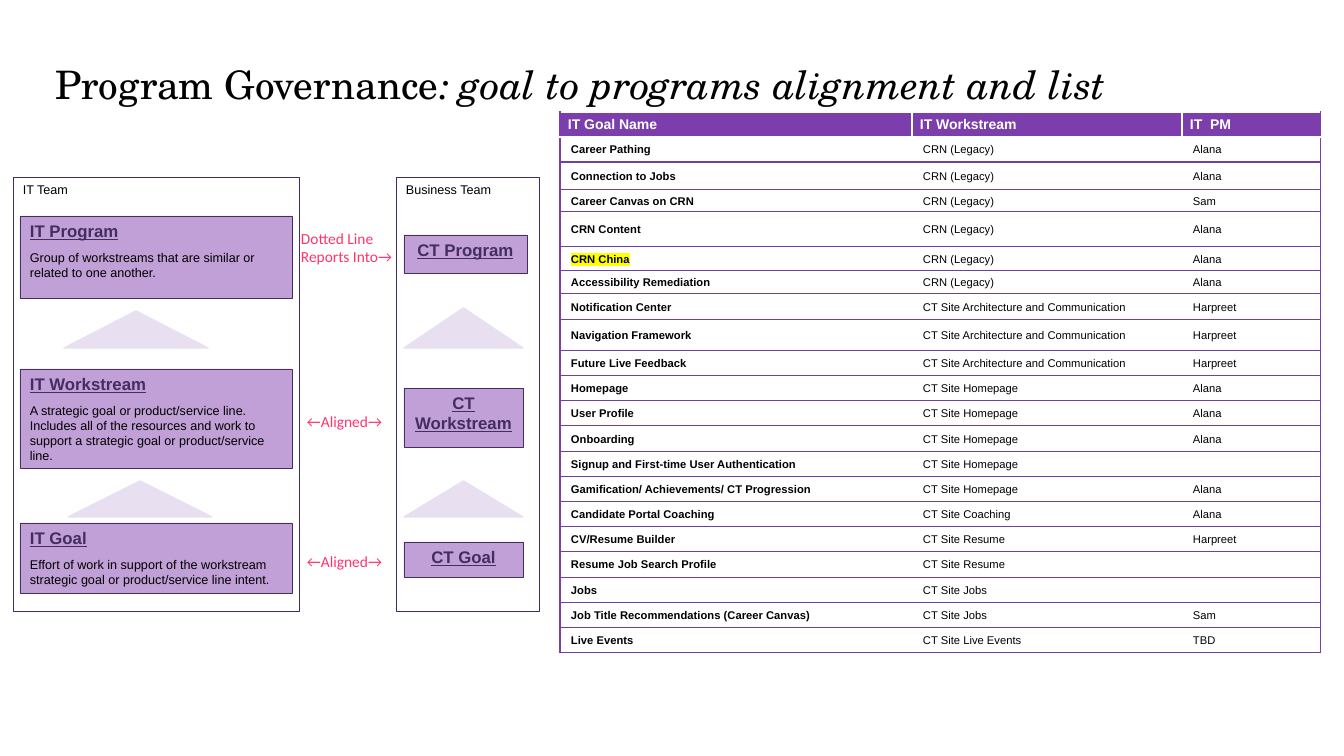
from lxml import etree
from pptx import Presentation
from pptx import util as u
from pptx.dml.color import RGBColor
from pptx.enum import shapes, text
from pptx.oxml.ns import qn

PX = 914400 / 100.8


class Theme:
    ink, white, plum, lilac, pale = "000000", "FFFFFF", "442D62", "C0A0D6", "E8E0F1"
    head, rule, pink, mark = "7B3EAC", "6D40A7", "FF346C", "FFFF00"
    sans, serif, label = "Arial", "TeX Gyre Schola", "Calibri"
    # size, font, colour, bold, underline
    title = (28, serif, ink, False, False)
    name = (12, sans, plum, True, True)
    body = (9, sans, ink, False, False)
    note = (11, label, pink, False, False)
    top = (10, sans, white, True, False)
    goal = (8, sans, ink, True, False)
    cell = (8, sans, ink, False, False)


TITLE = ("Program Governance", ": goal to programs alignment and list")
# place is left, top, width, height in px
LEVELS = [
    ((20, 216, 272, 82), "IT Program",
     "Group of workstreams that are similar or related to one another."),
    ((20, 369, 272, 99), "IT Workstream",
     "A strategic goal or product/service line. Includes all of the resources "
     "and work to support a strategic goal or product/service line."),
    ((20, 523, 272, 70), "IT Goal",
     "Effort of work in support of the workstream strategic goal or "
     "product/service line intent."),
]
PEERS = [
    ((404, 235, 123, 38), "CT Program"),
    ((404, 388, 119, 59), "CT Workstream"),
    ((404, 542, 119, 35), "CT Goal"),
]
ARROWS = [(64, 311, 144, 37), (68, 481, 144, 36), (404, 308, 119, 40), (404, 481, 119, 36)]
NOTES = [
    ((291, 224, 198, 47), ["Dotted Line", "Reports Into→"]),
    ((297, 407, 198, 29), ["←Aligned→"]),
    ((297, 547, 198, 29), ["←Aligned→"]),
]
TEAMS = [((13, 177, 286, 434), "IT Team"), ((396, 177, 143, 434), "Business Team")]

COLS = [352, 270, 139]
HEAD = (25, "IT Goal Name", "IT Workstream", "IT  PM")
MARKED = "CRN China"
GOALS = [  # height, goal, workstream, manager
    (25, "Career Pathing", "CRN (Legacy)", "Alana"),
    (28, "Connection to Jobs", "CRN (Legacy)", "Alana"),
    (22, "Career Canvas on CRN", "CRN (Legacy)", "Sam"),
    (35, "CRN Content", "CRN (Legacy)", "Alana"),
    (24, "CRN China", "CRN (Legacy)", "Alana"),
    (23, "Accessibility Remediation", "CRN (Legacy)", "Alana"),
    (26, "Notification Center", "CT Site Architecture and Communication", "Harpreet"),
    (31, "Navigation Framework", "CT Site Architecture and Communication", "Harpreet"),
    (25, "Future Live Feedback", "CT Site Architecture and Communication", "Harpreet"),
    (25, "Homepage", "CT Site Homepage", "Alana"),
    (25, "User Profile", "CT Site Homepage", "Alana"),
    (26, "Onboarding", "CT Site Homepage", "Alana"),
    (25, "Signup and First-time User Authentication", "CT Site Homepage", ""),
    (25, "Gamification/ Achievements/ CT Progression", "CT Site Homepage", "Alana"),
    (25, "Candidate Portal Coaching", "CT Site Coaching", "Alana"),
    (25, "CV/Resume Builder", "CT Site Resume", "Harpreet"),
    (26, "Resume Job Search Profile", "CT Site Resume", ""),
    (25, "Jobs", "CT Site Jobs", ""),
    (25, "Job Title Recommendations (Career Canvas)", "CT Site Jobs", "Sam"),
    (25, "Live Events", "CT Site Live Events", "TBD"),
]


def px(n):
    return u.Emu(round(n * PX))


def rgb(code):
    return RGBColor.from_string(code)


def style(para, look):
    size, font, ink, bold, under = look
    for run in para.runs:
        f = run.font
        f.size, f.name, f.bold, f.underline = u.Pt(size), font, bold, under
        f.color.rgb = rgb(ink)


def write(frame, lines, looks, align=text.PP_ALIGN.LEFT, gap=0):
    frame.word_wrap = True
    frame.text = "\n".join(lines)
    for i, (para, look) in enumerate(zip(frame.paragraphs, looks)):
        para.alignment = align
        para.space_before, para.space_after = u.Pt(gap if i else 0), u.Pt(gap)
        style(para, look)


def draw(slide, kind, place, fill, line, width):
    shape = slide.shapes.add_shape(kind, *map(px, place))
    shape.shadow.inherit = False
    if fill:
        shape.fill.solid()
        shape.fill.fore_color.rgb = rgb(fill)
    else:
        shape.fill.background()
    shape.line.color.rgb = rgb(line)
    shape.line.width = u.Pt(width)
    return shape


def box(slide, place, fill, lines, looks, align=text.PP_ALIGN.LEFT):
    shape = draw(slide, shapes.MSO_SHAPE.RECTANGLE, place, fill, Theme.plum, 0.5)
    shape.text_frame.vertical_anchor = text.MSO_ANCHOR.TOP
    write(shape.text_frame, lines, looks, align, 3)


def label(slide, place, lines, look):
    frame = slide.shapes.add_textbox(*map(px, place)).text_frame
    write(frame, lines, [look] * len(lines))
    return frame


def edge(cell, side, ink):
    """Rule one side of a cell, or clear it when ink is None."""
    line = etree.SubElement(cell._tc.get_or_add_tcPr(), qn("a:ln" + side), w="12700")
    if ink:
        fill = etree.SubElement(line, qn("a:solidFill"))
        etree.SubElement(fill, qn("a:srgbClr"), val=ink)
    else:
        etree.SubElement(line, qn("a:noFill"))


def mark(run):
    light = etree.Element(qn("a:highlight"))
    etree.SubElement(light, qn("a:srgbClr"), val=Theme.mark)
    run.font._element.find(qn("a:solidFill")).addnext(light)


def fill_cell(cell, words, r, c):
    top = r == 0
    inner = Theme.white if top else None
    edge(cell, "L", inner if c else Theme.head)
    edge(cell, "R", inner if c < len(COLS) - 1 else Theme.head)
    edge(cell, "T", Theme.white if r < 2 else Theme.rule)
    edge(cell, "B", Theme.white if top else Theme.rule)
    cell.fill.solid()
    cell.fill.fore_color.rgb = rgb(Theme.head if top else Theme.white)
    cell.vertical_anchor = text.MSO_ANCHOR.MIDDLE
    cell.margin_left = cell.margin_right = px(8 if top else 1)
    cell.margin_top, cell.margin_bottom = px(4 if top else 1), px(4 if top else 0)
    cell.text_frame.text = words
    para = cell.text_frame.paragraphs[0]
    if not top:
        para._p.get_or_add_pPr().set("marL", str(px(10)))
    if words:
        style(para, Theme.top if top else Theme.cell if c else Theme.goal)
    else:
        etree.SubElement(para._p, qn("a:endParaRPr"), sz="800")
    if words == MARKED:
        mark(para.runs[0])


def grid(slide):
    rows = [HEAD] + GOALS
    high = sum(row[0] for row in rows)
    place = (560, 112, sum(COLS), high)
    table = slide.shapes.add_table(len(rows), len(COLS), *map(px, place)).table
    table.first_row = table.horz_banding = False
    for col, wide in zip(table.columns, COLS):
        col.width = px(wide)
    for r, (tall, *cells) in enumerate(rows):
        table.rows[r].height = px(tall)
        for c, words in enumerate(cells):
            fill_cell(table.cell(r, c), words, r, c)


def main():
    deck = Presentation()
    deck.slide_width, deck.slide_height = px(1344), px(756)
    slide = deck.slides.add_slide(deck.slide_layouts[6])

    frame = label(slide, (55, 60, 1214, 50), TITLE[:1], Theme.title)
    frame.margin_left = frame.margin_right = frame.margin_top = frame.margin_bottom = 0
    para = frame.paragraphs[0]
    tail = para.add_run()
    tail.text = TITLE[1]
    style(para, Theme.title)
    tail.font.italic = True

    for place, name, about in LEVELS:
        box(slide, place, Theme.lilac, [name, about], [Theme.name, Theme.body])
    for place, name in PEERS:
        box(slide, place, Theme.lilac, [name], [Theme.name], text.PP_ALIGN.CENTER)
    for place in ARROWS:
        draw(slide, shapes.MSO_SHAPE.ISOSCELES_TRIANGLE, place, Theme.pale, Theme.pale, 1)
    for place, lines in NOTES:
        label(slide, place, lines, Theme.note)
    for place, name in TEAMS:
        box(slide, place, None, [name], [Theme.body])
    grid(slide)
    deck.save("out.pptx")


if __name__ == "__main__":
    main()
